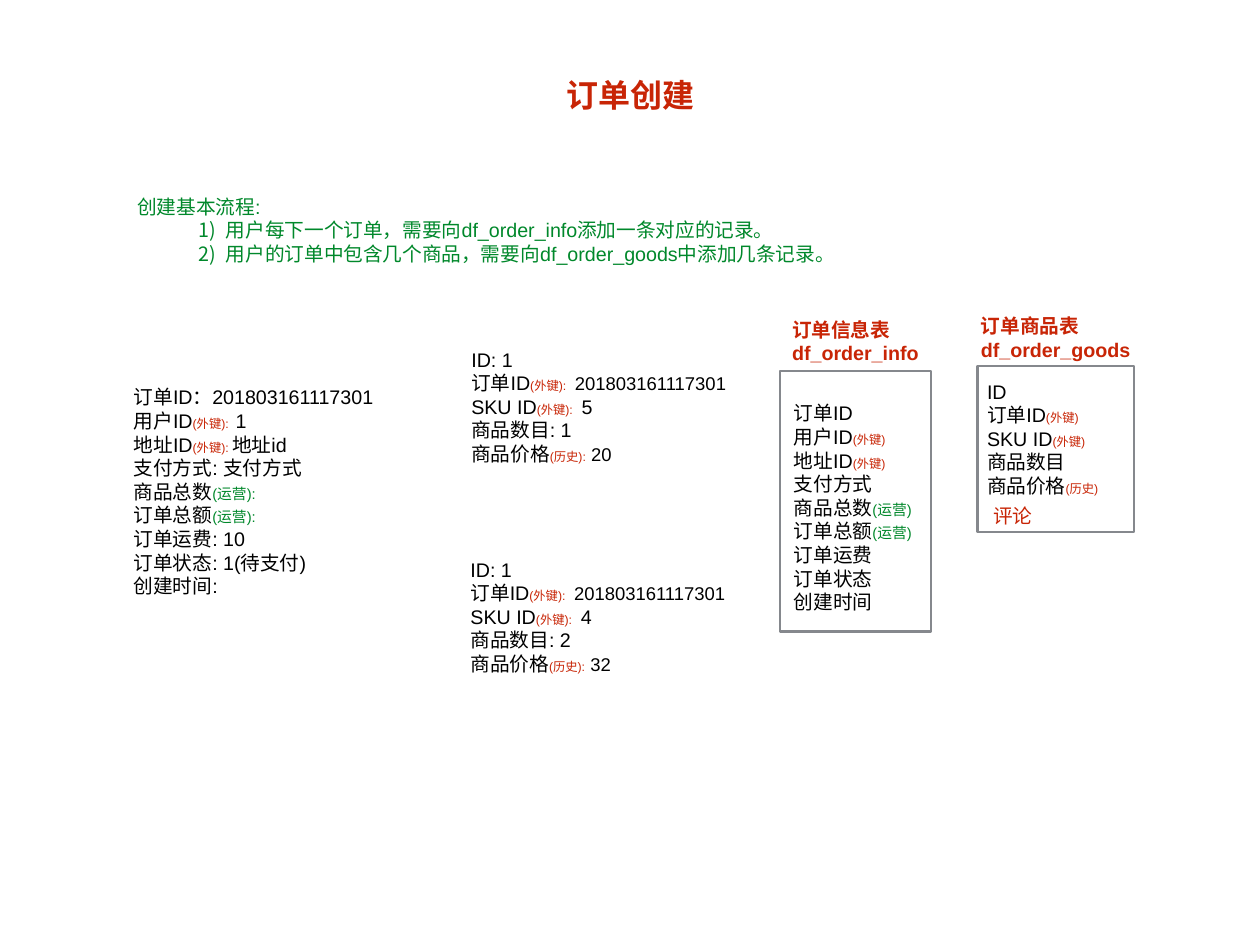
from dataclasses import dataclass, field

from lxml import etree
from pptx import Presentation
from pptx.dml.color import RGBColor
from pptx.enum.shapes import MSO_SHAPE
from pptx.enum.text import MSO_ANCHOR, MSO_AUTO_SIZE
from pptx.oxml.ns import qn
from pptx.util import Inches, Pt

RECTANGLE = MSO_SHAPE.RECTANGLE
MIDDLE = MSO_ANCHOR.MIDDLE
GROW = MSO_AUTO_SIZE.SHAPE_TO_FIT_TEXT

RED = RGBColor.from_string("C82506")
GREEN = RGBColor.from_string("00882B")
BLACK = RGBColor.from_string("000000")
GRAY = RGBColor.from_string("85888D")


@dataclass(frozen=True)
class Theme:
    font: str = "Arial"
    border: RGBColor = GRAY
    border_width: int = 2
    inset: float = 0.06
    styles: dict = field(default_factory=lambda: {
        "title": (26, RED, True),
        "heading": (16, RED, True),
        "accent": (16, RED, False),
        "flow": (16, GREEN, False),
        "body": (16, BLACK, False),
        "value": (15, BLACK, False),
        "key": (10, RED, False),
        "operation": (12, GREEN, False),
    })


THEME = Theme()


def set_attributes(target, values):
    for name, value in values.items():
        setattr(target, name, value)


def add_run(paragraph, text, style):
    size, color, bold = THEME.styles[style]
    run = paragraph.add_run()
    run.text = text
    set_attributes(run.font, {"name": THEME.font, "size": Pt(size), "bold": bold})
    run.font.color.rgb = color


def add_text(slide, position, lines, style="body"):
    box = slide.shapes.add_textbox(*map(Inches, position))
    frame = box.text_frame
    inset = Inches(THEME.inset)
    set_attributes(frame, {
        "word_wrap": True, "auto_size": GROW, "vertical_anchor": MIDDLE,
        "margin_left": inset, "margin_right": inset,
        "margin_top": inset, "margin_bottom": inset,
    })
    for index, line in enumerate(lines):
        paragraph = frame.add_paragraph() if index else frame.paragraphs[0]
        runs = [(line, style)] if isinstance(line, str) else line
        for text, run_style in runs:
            add_run(paragraph, text, run_style)
    return frame


def number_paragraph(paragraph):
    paragraph.level = 1
    properties = paragraph._p.get_or_add_pPr()
    properties.set("marL", str(Inches(1)))
    properties.set("indent", str(Inches(-0.31)))
    numbering = etree.SubElement(properties, qn("a:buAutoNum"))
    numbering.set("type", "arabicParenR")


def add_frame(slide, position):
    shape = slide.shapes.add_shape(RECTANGLE, *map(Inches, position))
    shape.shadow.inherit = False
    shape.fill.background()
    shape.line.color.rgb = THEME.border
    shape.line.width = Pt(THEME.border_width)


def noted(label, note, style="key", value="", value_style="body"):
    runs = [(label, "body"), (note, style)]
    return runs + [(value, value_style)] if value else runs


def add_goods_record(slide, position, sku, quantity, price):
    add_text(slide, position, [
        "ID: 1",
        noted("订单ID", "(外键): ", value=" 201803161117301", value_style="value"),
        noted("SKU ID", "(外键): ", value=f" {sku}"),
        f"商品数目: {quantity}",
        noted("商品价格", "(历史):", value=f" {price}", value_style="value"),
    ])


def add_flow(slide):
    frame = add_text(slide, (1.49, 2.08, 8.02, 1.03), [
        "创建基本流程:",
        "用户每下一个订单，需要向df_order_info添加一条对应的记录。",
        "用户的订单中包含几个商品，需要向df_order_goods中添加几条记录。",
    ], "flow")
    for paragraph in frame.paragraphs[1:]:
        number_paragraph(paragraph)


def add_order_record(slide):
    add_text(slide, (1.45, 4.12, 2.9, 2.86), [
        "订单ID：201803161117301",
        noted("用户ID", "(外键):  ", value="1"),
        noted("地址ID", "(外键): ", value="地址id"),
        "支付方式: 支付方式",
        noted("商品总数", "(运营):", "operation"),
        noted("订单总额", "(运营):", "operation"),
        "订单运费: 10",
        "订单状态: 1(待支付)",
        "创建时间:",
    ])


def add_order_info_table(slide):
    add_text(slide, (8.88, 3.51, 1.56, 0.68), ["订单信息表", "df_order_info"], "heading")
    add_frame(slide, (8.8, 4.19, 1.71, 2.94))
    add_text(slide, (8.9, 4.3, 1.52, 2.86), [
        "订单ID",
        noted("用户ID", "(外键)"),
        noted("地址ID", "(外键)"),
        "支付方式",
        noted("商品总数", "(运营)", "operation"),
        noted("订单总额", "(运营)", "operation"),
        "订单运费",
        "订单状态",
        "创建时间",
    ])


def add_order_goods_table(slide):
    add_text(slide, (11.01, 3.47, 1.82, 0.68), ["订单商品表", "df_order_goods"], "heading")
    add_frame(slide, (11.03, 4.13, 1.77, 1.88))
    add_text(slide, (11.08, 4.17, 1.38, 1.56), [
        "ID",
        noted("订单ID", "(外键)"),
        noted("SKU ID", "(外键)"),
        "商品数目",
        noted("商品价格", "(历史)"),
    ])
    add_text(slide, (11.15, 5.61, 0.57, 0.42), ["评论"], "accent")


def main():
    presentation = Presentation()
    set_attributes(presentation, {
        "slide_width": Inches(14.22), "slide_height": Inches(10.67),
    })
    slide = presentation.slides.add_slide(presentation.slide_layouts[6])
    add_text(slide, (6.33, 0.75, 1.57, 0.63), ["订单创建"], "title")
    add_flow(slide)
    add_order_record(slide)
    add_goods_record(slide, (5.26, 3.81, 3.04, 1.56), sku=5, quantity=1, price=20)
    add_goods_record(slide, (5.25, 6.18, 3.05, 1.56), sku=4, quantity=2, price=32)
    add_order_info_table(slide)
    add_order_goods_table(slide)
    presentation.save("out.pptx")


if __name__ == "__main__":
    main()
